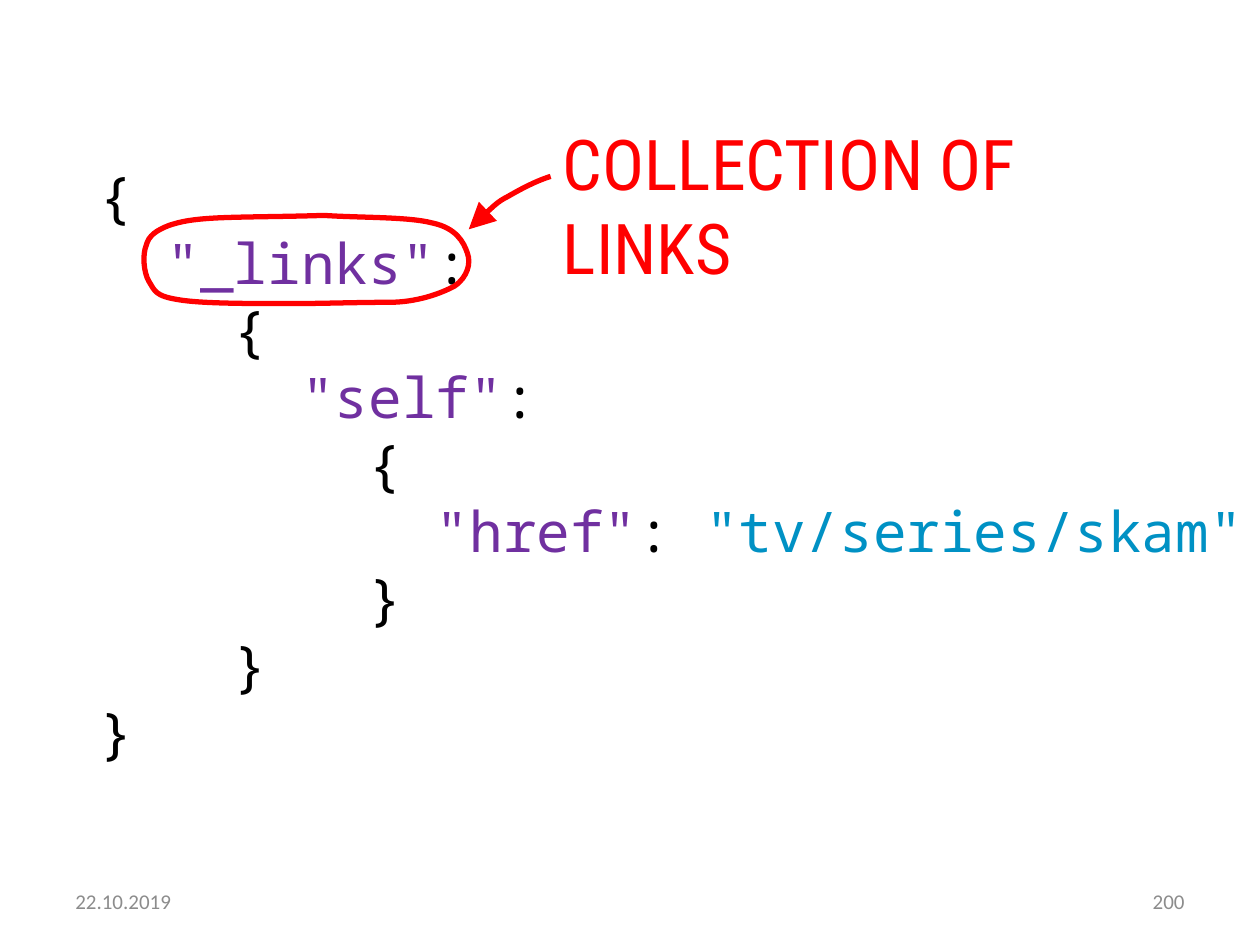
import pptx
import pptx.util
import pptx.dml.color
import pptx.enum.text
import pptx.oxml
import pptx.oxml.ns
import lxml.etree

Inches, Pt = pptx.util.Inches, pptx.util.Pt
RGBColor = pptx.dml.color.RGBColor
MSO_ANCHOR, PP_ALIGN = pptx.enum.text.MSO_ANCHOR, pptx.enum.text.PP_ALIGN
qn = pptx.oxml.ns.qn

BLACK = RGBColor(0x00, 0x00, 0x00)
PURPLE = RGBColor(0x70, 0x30, 0xA0)
BLUE = RGBColor(0x00, 0x91, 0xC4)
RED = RGBColor(0xFF, 0x00, 0x00)
GRAY = RGBColor(0x8C, 0x8C, 0x8C)

SLIDE_W, SLIDE_H = 10, 7.5
MARGIN = SLIDE_W / 20
FOOTER_W = 2.33
UNITS_PER_INCH = 100

CODE = [
    (0, [("{", BLACK)]),
    (1, [('"_links"', PURPLE), (":", BLACK)]),
    (2, [("{", BLACK)]),
    (3, [('"self"', PURPLE), (":", BLACK)]),
    (4, [("{", BLACK)]),
    (5, [('"href"', PURPLE), (": ", BLACK), ('"tv/series/skam"', BLUE)]),
    (4, [("}", BLACK)]),
    (2, [("}", BLACK)]),
    (0, [("}", BLACK)]),
]
FOOTERS = [
    ("22.10.2019", MARGIN, PP_ALIGN.LEFT),
    ("200", SLIDE_W - MARGIN - FOOTER_W, PP_ALIGN.RIGHT),
]
LINKS_LOOP = [
    (1.18, 2.23),
    (1.14, 2.16), (1.13, 2.02), (1.16, 1.95),
    (1.18, 1.87), (1.24, 1.83), (1.34, 1.79),
    (1.43, 1.76), (1.52, 1.74), (1.73, 1.73),
    (1.94, 1.72), (2.29, 1.72), (2.57, 1.71),
    (2.86, 1.73), (3.24, 1.72), (3.43, 1.77),
    (3.62, 1.81), (3.68, 1.92), (3.71, 2.01),
    (3.74, 2.09), (3.71, 2.2), (3.61, 2.27),
    (3.5, 2.33), (3.31, 2.4), (3.09, 2.4),
    (2.83, 2.4), (2.56, 2.41), (2.3, 2.41),
    (1.98, 2.41), (1.6, 2.41), (1.42, 2.38),
    (1.23, 2.35), (1.23, 2.31), (1.18, 2.23),
]
LABEL_ARROW = [
    (4.37, 1.4),
    (4.24, 1.44), (4.1, 1.52), (4.03, 1.56),
    (3.95, 1.6), (3.81, 1.73), (3.72, 1.82),
]


def add_box(slide, left, top, width, height, anchor):
    box = slide.shapes.add_textbox(*map(Inches, (left, top, width, height)))
    frame = box.text_frame
    frame.word_wrap = True
    frame.vertical_anchor = anchor
    return frame


def style(run, font_name, size, color):
    run.font.name = font_name
    run.font.size = Pt(size)
    run.font.color.rgb = color


def add_label(slide, text, place, anchor, font_name, size, color):
    frame = add_box(slide, *place, anchor)
    frame.text = text
    paragraph = frame.paragraphs[0]
    style(paragraph.runs[0], font_name, size, color)
    return paragraph


def add_curve(slide, points, closed):
    start, *rest = [(round(x * UNITS_PER_INCH), round(y * UNITS_PER_INCH))
                    for x, y in points]
    builder = slide.shapes.build_freeform(*start, scale=Inches(1) / UNITS_PER_INCH)
    builder.add_line_segments(rest, close=closed)
    curve = builder.convert_to_shape()
    segments = list(curve.element.iter(qn("a:lnTo")))
    for first in range(0, len(segments), 3):
        bezier = lxml.etree.Element(qn("a:cubicBezTo"))
        segments[first].addprevious(bezier)
        for segment in segments[first:first + 3]:
            bezier.append(segment[0])
            segment.getparent().remove(segment)
    curve.shadow.inherit = False
    curve.fill.background()
    curve.line.color.rgb = RED
    curve.line.width = Pt(3)
    return curve


def add_code(slide):
    frame = add_box(slide, 0, 1.2, SLIDE_W, 4.95, MSO_ANCHOR.MIDDLE)
    frame.margin_left = Inches(0.79)
    for row, (level, pieces) in enumerate(CODE):
        paragraph = frame.add_paragraph() if row else frame.paragraphs[0]
        paragraph.line_spacing = Pt(38.3)
        indent = [("  " * level, BLACK)] if level else []
        for text, color in indent + pieces:
            run = paragraph.add_run()
            run.text = text
            style(run, "Noto Sans Mono", 32, color)


def main():
    deck = pptx.Presentation()
    deck.slide_width, deck.slide_height = Inches(SLIDE_W), Inches(SLIDE_H)
    slide = deck.slides.add_slide(deck.slide_layouts[6])

    for text, left, align in FOOTERS:
        footer = add_label(slide, text, (left, 6.95, FOOTER_W, 0.4),
                           MSO_ANCHOR.MIDDLE, "Calibri", 12, GRAY)
        footer.alignment = align

    add_code(slide)
    add_curve(slide, LINKS_LOOP, closed=True)
    add_label(slide, "COLLECTION OF LINKS", (4.37, 0.91, 3.8, 0.77),
              MSO_ANCHOR.TOP, "Roboto Condensed", 40, RED)
    arrow = add_curve(slide, LABEL_ARROW, closed=False)
    outline = arrow.element.spPr.find(qn("a:ln"))
    lxml.etree.SubElement(outline, qn("a:tailEnd"), type="triangle", w="lg", len="lg")

    deck.save("out.pptx")


if __name__ == "__main__":
    main()
